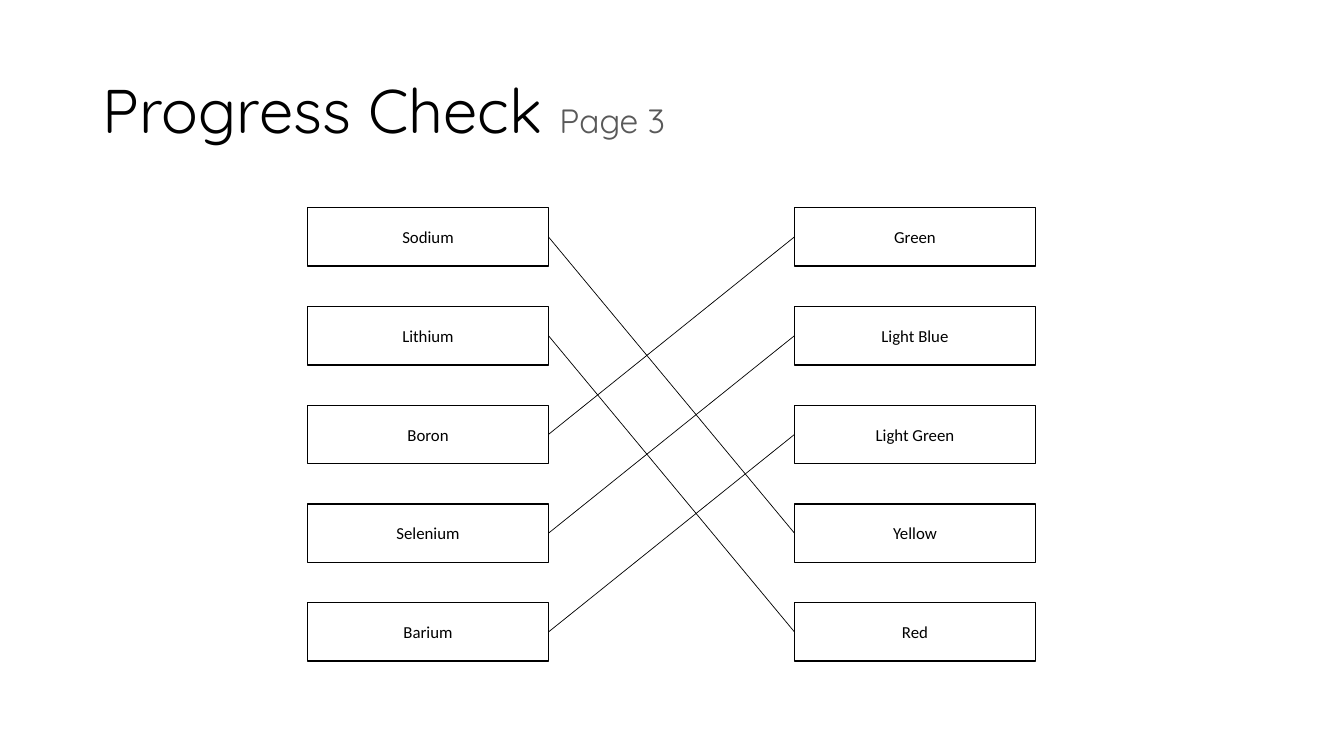
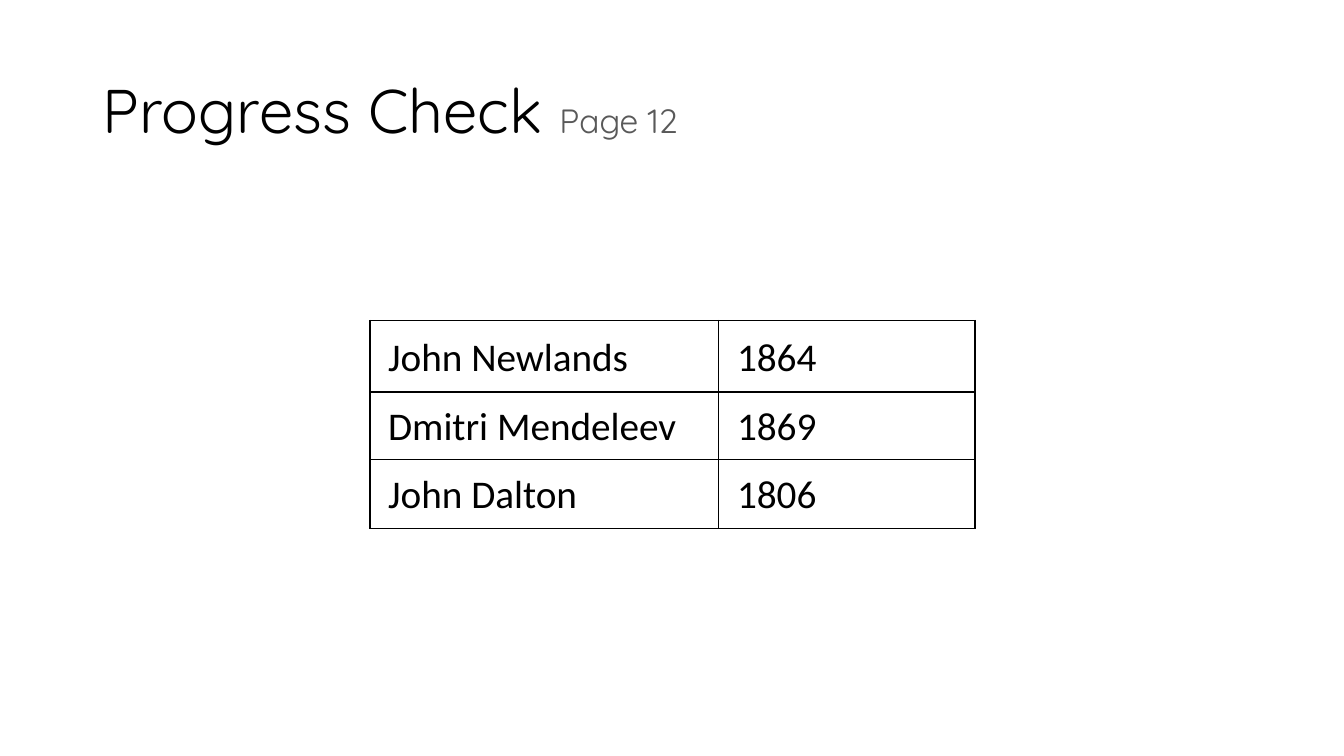
from lxml.etree import SubElement
from pptx import Presentation
from pptx.dml.color import RGBColor
from pptx.enum.shapes import MSO_CONNECTOR, MSO_SHAPE
from pptx.enum.text import MSO_ANCHOR, MSO_AUTO_SIZE, PP_ALIGN
from pptx.oxml import parse_xml
from pptx.oxml.ns import nsdecls, qn
from pptx.util import Inches, Pt

HUES = {"ink": "000000", "gray": "595959", "paper": "FFFFFF"}
HEAD = {"name": "Quicksand", "size": Pt(44)}
PAGE = {"name": "Quicksand", "size": Pt(24)}
LABEL = {"name": "Calibri", "size": Pt(12)}
ENTRY = {"name": "Calibri", "size": Pt(28)}
FRAME = {"word_wrap": True, "auto_size": MSO_AUTO_SIZE.NONE,
         "vertical_anchor": MSO_ANCHOR.MIDDLE}
CELL = {"vertical_anchor": MSO_ANCHOR.MIDDLE,
        "margin_left": Inches(0.18), "margin_right": Inches(0.18),
        "margin_top": 0, "margin_bottom": 0}
ROW = {"line_spacing": 1.07, "space_after": Pt(8)}

METALS = ["Sodium", "Lithium", "Boron", "Selenium", "Barium"]
FLAMES = ["Green", "Light Blue", "Light Green", "Yellow", "Red"]
PAIRS = {"Sodium": "Yellow", "Lithium": "Red", "Boron": "Green",
         "Selenium": "Light Blue", "Barium": "Light Green"}
DATES = [("John Newlands", "1864"), ("Dmitri Mendeleev", "1869"),
         ("John Dalton", "1806")]


def tint(hue):
    return RGBColor.from_string(HUES[hue])


def apply(item, style):
    for key, value in style.items():
        setattr(item, key, value)


def add_run(para, text, style, hue="ink"):
    run = para.add_run()
    run.text = text
    apply(run.font, style)
    run.font.color.rgb = tint(hue)


def stroke(line, width):
    line.color.rgb = tint("ink")
    line.width = Pt(width)


def add_page(deck, number):
    slide = deck.slides.add_slide(deck.slide_layouts[5])
    slide.background.fill.solid()
    slide.background.fill.fore_color.rgb = tint("paper")
    title = slide.shapes.title
    apply(title, {"left": Inches(0.92), "top": Inches(0.4),
                  "width": Inches(11.5), "height": Inches(1.45)})
    apply(title.text_frame, FRAME)
    para = title.text_frame.paragraphs[0]
    apply(para, {"alignment": PP_ALIGN.LEFT, "line_spacing": 0.9})
    add_run(para, "Progress Check ", HEAD)
    add_run(para, f"Page {number}", PAGE, "gray")
    return slide


def add_box(slide, text, left, top):
    box = slide.shapes.add_shape(MSO_SHAPE.RECTANGLE, Inches(left), Inches(top),
                                 Inches(2.39), Inches(0.58))
    box.shadow.inherit = False
    box.fill.background()
    stroke(box.line, 1)
    apply(box.text_frame, FRAME)
    para = box.text_frame.paragraphs[0]
    para.alignment = PP_ALIGN.CENTER
    add_run(para, text, LABEL)
    return box


def add_stack(slide, names, left):
    return {name: add_box(slide, name, left, 2.06 + 0.98 * i)
            for i, name in enumerate(names)}


def add_link(slide, start, end):
    link = slide.shapes.add_connector(MSO_CONNECTOR.STRAIGHT, 0, 0, 0, 0)
    link.begin_connect(start, 3)
    link.end_connect(end, 1)
    stroke(link.line, 0.5)
    SubElement(link.element.spPr, qn("a:effectLst"))


def add_edges(cell):
    props = cell._tc.get_or_add_tcPr()
    for i, side in enumerate("LRTB"):
        props.insert(i, parse_xml(
            f'<a:ln{side} {nsdecls("a")} w="{Pt(1)}"><a:solidFill>'
            f'<a:srgbClr val="{HUES["ink"]}"/></a:solidFill></a:ln{side}>'))


def fill_cell(cell, text):
    apply(cell, CELL)
    cell.fill.background()
    add_edges(cell)
    para = cell.text_frame.paragraphs[0]
    apply(para, ROW)
    add_run(para, text, ENTRY)


def add_grid(slide, data, left, top, widths, heights):
    table = slide.shapes.add_table(
        len(data), len(widths), Inches(left), Inches(top),
        Inches(sum(widths)), Inches(sum(heights))).table
    apply(table, {"first_row": False, "horz_banding": False})
    for column, width in zip(table.columns, widths):
        column.width = Inches(width)
    for row, height, texts in zip(table.rows, heights, data):
        row.height = Inches(height)
        for cell, text in zip(row.cells, texts):
            fill_cell(cell, text)


def main():
    deck = Presentation()
    apply(deck, {"slide_width": Inches(13.33), "slide_height": Inches(7.5)})

    match = add_page(deck, 3)
    metals = add_stack(match, METALS, 3.05)
    flames = add_stack(match, FLAMES, 7.88)
    for metal, flame in PAIRS.items():
        add_link(match, metals[metal], flames[flame])

    dates = add_page(deck, 12)
    add_grid(dates, DATES, 3.67, 3.18, [3.46, 2.54], [0.71, 0.67, 0.68])

    deck.save("out.pptx")


if __name__ == "__main__":
    main()
